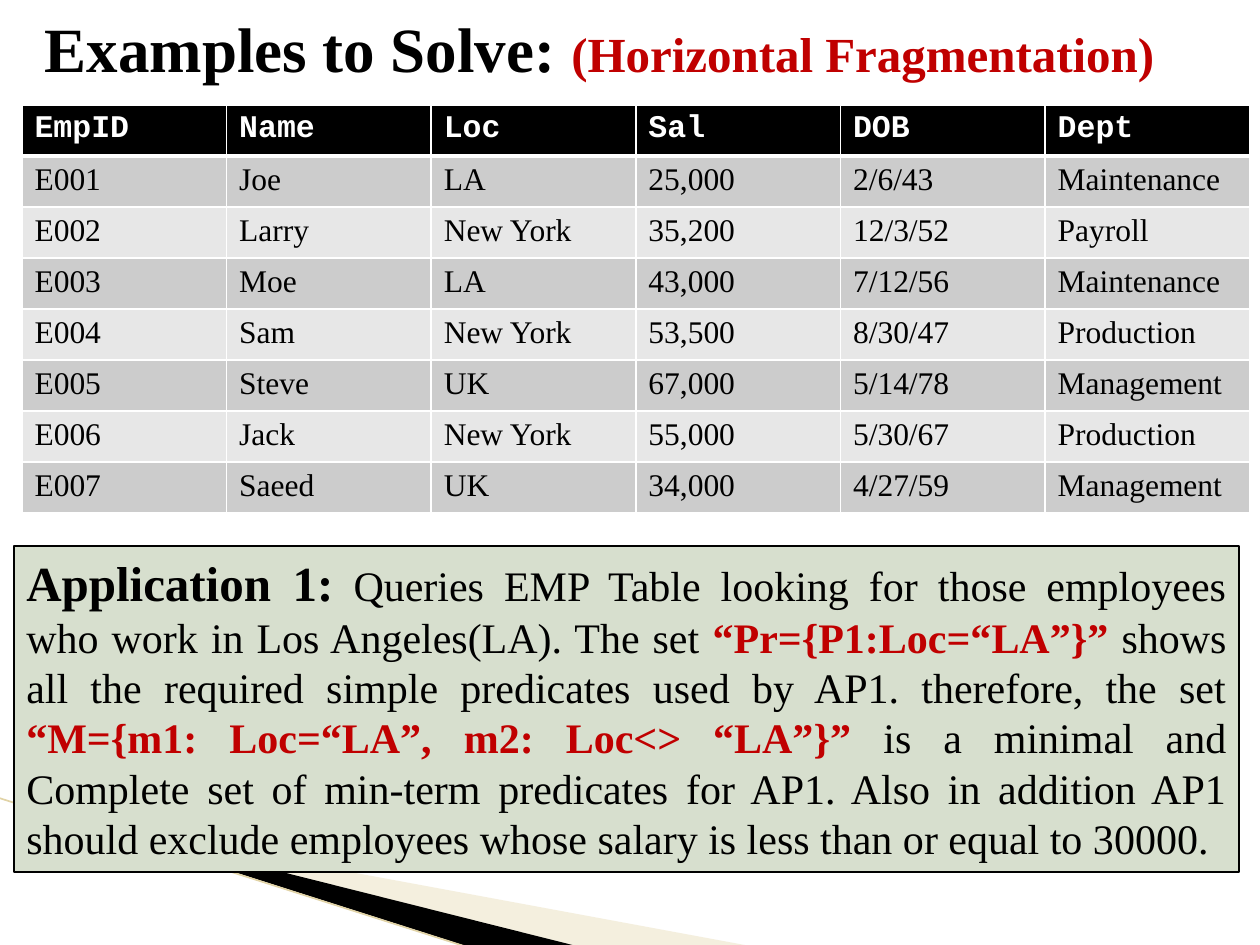
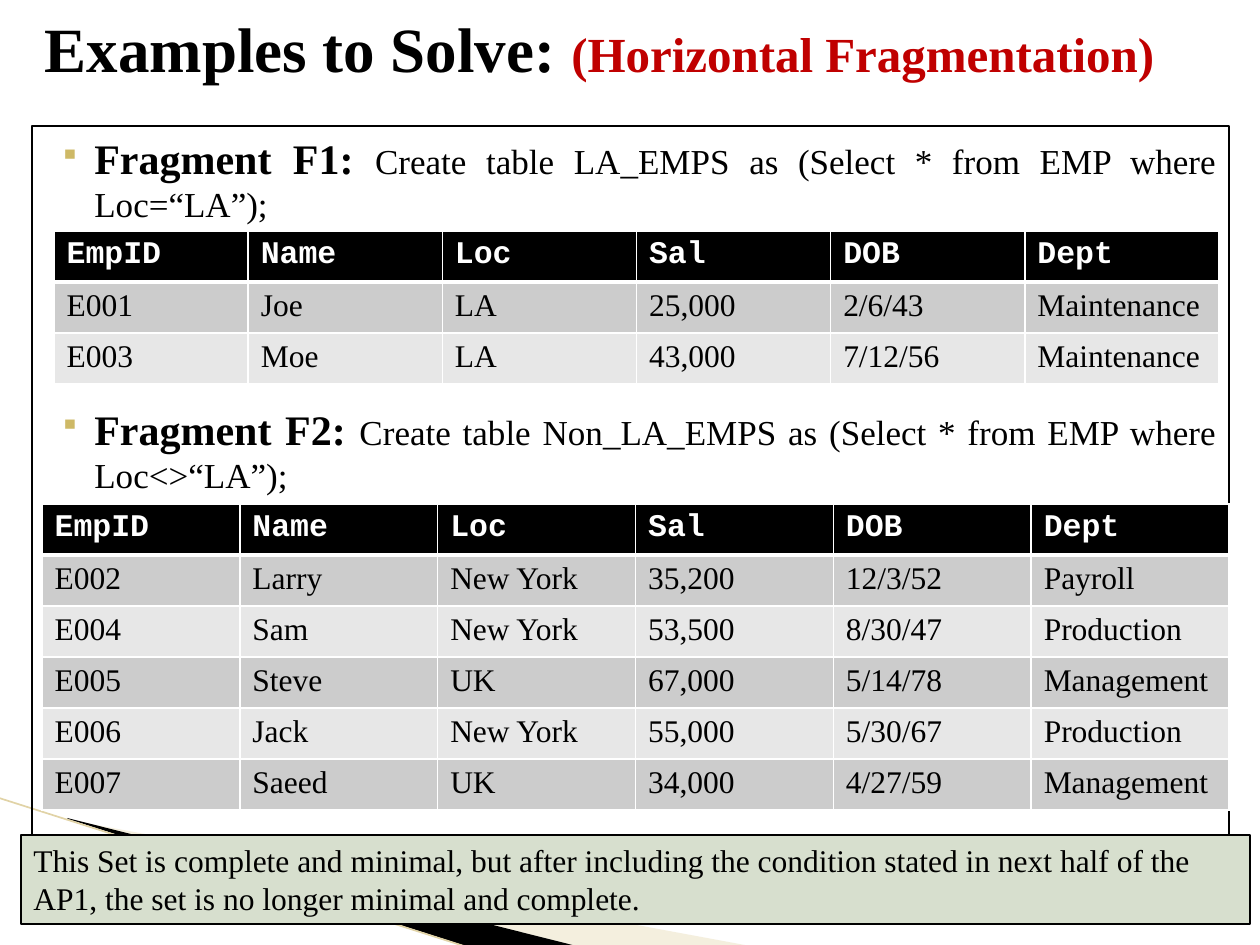
from lxml.etree import SubElement
from pptx import Presentation
from pptx.dml.color import RGBColor
from pptx.enum.shapes import MSO_CONNECTOR, MSO_SHAPE
from pptx.enum.text import MSO_ANCHOR, MSO_AUTO_SIZE, PP_ALIGN
from pptx.oxml.ns import qn
from pptx.util import Emu, Pt

EMU_PER_PX = 914400 / 126
SLIDE_W, SLIDE_H = 1260, 945

BLACK = RGBColor(0x00, 0x00, 0x00)
WHITE = RGBColor(0xFF, 0xFF, 0xFF)
RED = RGBColor(0xC0, 0x00, 0x00)
SAGE = RGBColor(0xD7, 0xDF, 0xCE)
SAND = RGBColor(0xE4, 0xD7, 0xAD)
PALE_GOLD = RGBColor(0xE1, 0xD3, 0xA6)
BULLET_GOLD = RGBColor(0xCE, 0xB9, 0x66)
DARK_BAND = RGBColor(0xCC, 0xCC, 0xCC)
LIGHT_BAND = RGBColor(0xE7, 0xE7, 0xE7)

SERIF = "Times New Roman"
MONO = "Courier New"
ROW_H = 51

FIELDS = ("EmpID", "Name", "Loc", "Sal", "DOB", "Dept")
EMPLOYEES = [
    ("E001", "Joe", "LA", "25,000", "2/6/43", "Maintenance"),
    ("E002", "Larry", "New York", "35,200", "12/3/52", "Payroll"),
    ("E003", "Moe", "LA", "43,000", "7/12/56", "Maintenance"),
    ("E004", "Sam", "New York", "53,500", "8/30/47", "Production"),
    ("E005", "Steve", "UK", "67,000", "5/14/78", "Management"),
    ("E006", "Jack", "New York", "55,000", "5/30/67", "Production"),
    ("E007", "Saeed", "UK", "34,000", "4/27/59", "Management"),
]
IN_LA = [row for row in EMPLOYEES if row[2] == "LA"]
NOT_IN_LA = [row for row in EMPLOYEES if row[2] != "LA"]

APPLICATION = [
    ("Application 1:", 28, BLACK, True),
    (" Queries EMP Table looking for those employees who work in "
     "Los Angeles(LA). The set ", 24, BLACK, False),
    ("“Pr={P1:Loc=“LA”}” ", 24, RED, True),
    ("shows all the required simple predicates used by AP1. therefore, "
     "the set ", 24, BLACK, False),
    ("“M={m1: Loc=“LA”, m2: Loc<> “LA”}” ", 24, RED, True),
    ("is a minimal and Complete set of min-term predicates for AP1. Also in "
     "addition AP1 should exclude employees whose salary is less than or "
     "equal to 30000.", 24, BLACK, False),
]
CONCLUSION = [
    ("This Set is complete and minimal, but after including the condition "
     "stated in next half of the AP1, the set is no longer minimal and "
     "complete.", 18, BLACK, False),
]
# Fragment label, its query, and the space above it in points
FRAGMENTS = [
    ("Fragment F1: ",
     "Create table LA_EMPS as (Select * from EMP where Loc=“LA”);", 4),
    ("Fragment F2: ",
     "Create table Non_LA_EMPS as (Select * from EMP where Loc<>“LA”);", 102),
]


def px(length):
    return Emu(round(length * EMU_PER_PX))


def add_run(paragraph, text, size, color, bold, face=SERIF):
    run = paragraph.add_run()
    run.text = text
    run.font.name = face
    run.font.size = Pt(size)
    run.font.bold = bold
    run.font.color.rgb = color


def add_solid_fill(parent, color):
    SubElement(SubElement(parent, qn("a:solidFill")), qn("a:srgbClr"),
               val=str(color))


# Swoosh in the lower left corner
def add_swoosh(slide):
    wedges = [
        (SAND, [(69, 820), (750, 946), (575, 946), (69, 819)]),
        (BLACK, [(67, 818), (576, 946), (469, 947), (68, 819)]),
    ]
    for color, corners in wedges:
        outline = slide.shapes.build_freeform(*corners[0], scale=EMU_PER_PX)
        outline.add_line_segments(corners[1:], close=True)
        wedge = outline.convert_to_shape()
        wedge.shadow.inherit = False
        wedge.fill.solid()
        wedge.fill.fore_color.rgb = color
        wedge.line.fill.background()
        if color == SAND:
            tint = wedge.fill._xPr.find(".//" + qn("a:srgbClr"))
            SubElement(tint, qn("a:alpha"), val="40000")

    edge = slide.shapes.add_connector(
        MSO_CONNECTOR.STRAIGHT, px(-1), px(798), px(467), px(947))
    edge.line.color.rgb = PALE_GOLD
    edge.line.width = Pt(0.95)
    SubElement(edge._element.spPr, qn("a:effectLst"))


# Slide with the shared heading and swoosh
def add_example_slide(deck):
    slide = deck.slides.add_slide(deck.slide_layouts[5])
    add_swoosh(slide)
    heading = slide.shapes.title
    heading.left, heading.top = px(32), px(-32)
    heading.width, heading.height = px(1197), px(158)
    frame = heading.text_frame
    frame.word_wrap = True
    frame.auto_size = MSO_AUTO_SIZE.NONE
    frame.vertical_anchor = MSO_ANCHOR.MIDDLE
    line = frame.paragraphs[0]
    line.alignment = PP_ALIGN.JUSTIFY
    add_run(line, "Examples to Solve: ", 36, BLACK, True)
    add_run(line, "(Horizontal Fragmentation)", 28, RED, True)
    return slide


# Thin-framed box, optionally filled; gives back its text frame
def add_panel(slide, left, top, width, height, fill=None):
    panel = slide.shapes.add_shape(
        MSO_SHAPE.RECTANGLE, px(left), px(top), px(width), px(height))
    panel.shadow.inherit = False
    if fill is None:
        panel.fill.background()
    else:
        panel.fill.solid()
        panel.fill.fore_color.rgb = fill
    panel.line.color.rgb = BLACK
    panel.line.width = Pt(0.75)
    frame = panel.text_frame
    frame.word_wrap = True
    frame.vertical_anchor = MSO_ANCHOR.TOP
    return frame


def add_note(slide, left, top, width, height, runs, alignment):
    note = add_panel(slide, left, top, width, height, SAGE).paragraphs[0]
    note.alignment = alignment
    for run in runs:
        add_run(note, *run)


# Bulleted fragment definitions, spaced to leave room for their tables
def add_fragment_list(slide, left, top, width, height):
    frame = add_panel(slide, left, top, width, height)
    for index, (label, query, space_above) in enumerate(FRAGMENTS):
        item = frame.add_paragraph() if index else frame.paragraphs[0]
        item.alignment = PP_ALIGN.JUSTIFY
        item.space_before = Pt(space_above)
        props = item._p.get_or_add_pPr()
        props.set("marL", str(px(50)))
        props.set("indent", str(px(-35)))
        SubElement(SubElement(props, qn("a:buClr")), qn("a:srgbClr"),
                   val=str(BULLET_GOLD))
        SubElement(props, qn("a:buSzPct"), val="68000")
        SubElement(props, qn("a:buChar"), char="▪")
        add_run(item, label, 24, BLACK, True)
        add_run(item, query, 20, BLACK, False)


def set_borders(cell, row):
    widths = {"lnL": 1, "lnR": 1,
              "lnT": 3 if row == 1 else 1, "lnB": 3 if row == 0 else 1}
    props = cell._tc.get_or_add_tcPr()
    for side, width in widths.items():
        border = SubElement(props, qn("a:" + side), w=str(Pt(width)))
        add_solid_fill(border, WHITE)


def add_employee_table(slide, left, top, width, employees):
    rows = [FIELDS, *employees]
    table = slide.shapes.add_table(
        len(rows), len(FIELDS), px(left), px(top), px(width),
        px(ROW_H * len(rows))).table
    for column in table.columns:
        column.width = px(width / len(FIELDS))
    for r, values in enumerate(rows):
        table.rows[r].height = px(ROW_H)
        is_header = r == 0
        band = BLACK if is_header else DARK_BAND if r % 2 else LIGHT_BAND
        for c, value in enumerate(values):
            cell = table.cell(r, c)
            set_borders(cell, r)
            cell.fill.solid()
            cell.fill.fore_color.rgb = band
            add_run(cell.text_frame.paragraphs[0], value, 18,
                    WHITE if is_header else BLACK, is_header,
                    MONO if is_header else SERIF)


def build_application_slide(deck):
    slide = add_example_slide(deck)
    add_employee_table(slide, 22, 105, 1228, EMPLOYEES)
    add_note(slide, 14, 546, 1225, 326, APPLICATION, PP_ALIGN.JUSTIFY)


def build_fragments_slide(deck):
    slide = add_example_slide(deck)
    add_fragment_list(slide, 32, 126, 1197, 756)
    add_employee_table(slide, 54, 231, 1165, IN_LA)
    add_note(slide, 21, 835, 1229, 89, CONCLUSION, PP_ALIGN.LEFT)
    add_employee_table(slide, 42, 504, 1187, NOT_IN_LA)


def main():
    deck = Presentation()
    deck.slide_width, deck.slide_height = px(SLIDE_W), px(SLIDE_H)
    build_application_slide(deck)
    build_fragments_slide(deck)
    deck.save("out.pptx")


if __name__ == "__main__":
    main()
